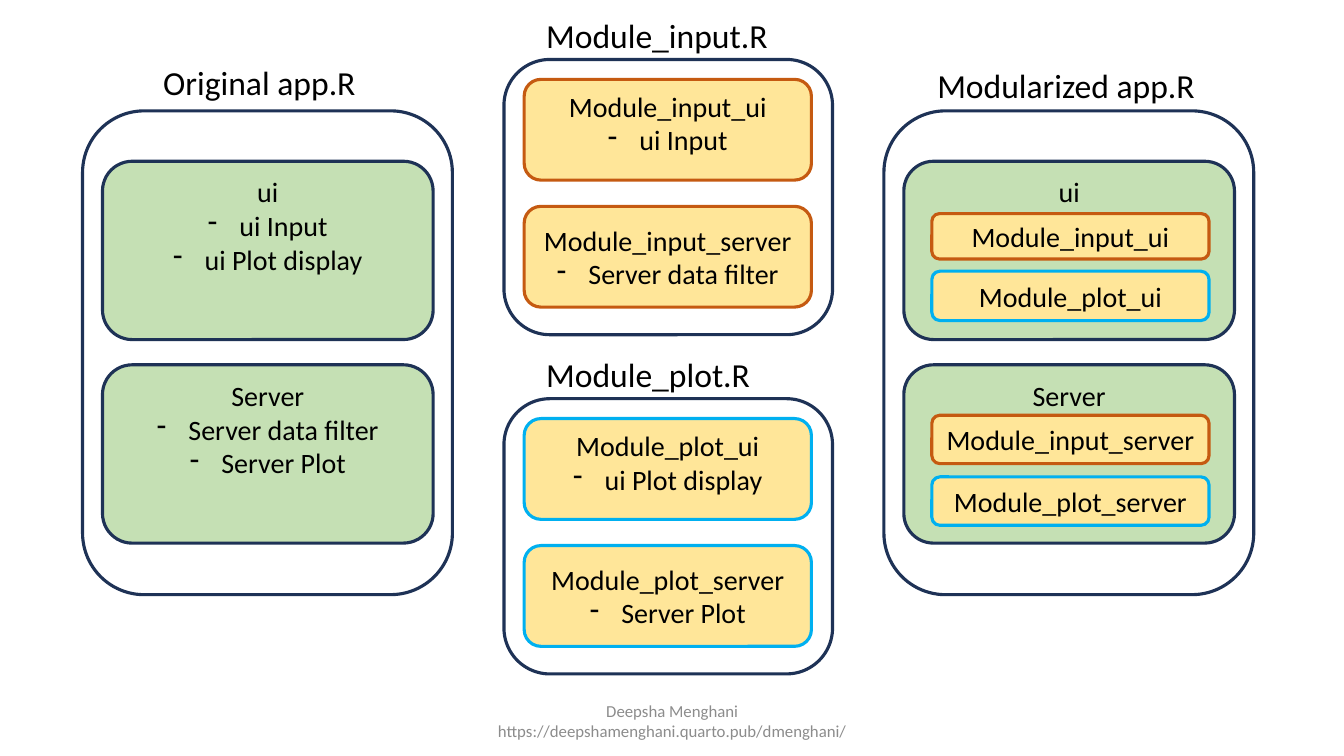
"""Build a slide that shows how an R app is split into modules."""
from dataclasses import dataclass
from typing import Any, Optional

import pptx
import pptx.dml.color
import pptx.enum.shapes
import pptx.enum.text
import pptx.oxml
import pptx.oxml.ns
import pptx.util

Pt = pptx.util.Pt
Align = pptx.enum.text.PP_ALIGN
Anchor = pptx.enum.text.MSO_ANCHOR


@dataclass(frozen=True)
class Theme:
    font: str = "Calibri"
    ink: str = "000000"
    gray: str = "8C8C8C"
    navy: str = "1E3256"
    green: str = "C5E0B4"
    sand: str = "FFE699"
    rust: str = "C55A11"
    sky: str = "00B0F0"
    head: float = 24
    body: float = 20
    foot: float = 12
    edge: float = 2.25
    indent: float = 22.5


THEME = Theme()


@dataclass(frozen=True)
class Box:
    left: float
    top: float
    width: float
    height: float
    line: str
    fill: Optional[str] = None
    text: str = ""
    items: tuple[str, ...] = ()
    anchor: Any = Anchor.TOP


@dataclass(frozen=True)
class Label:
    left: float
    top: float
    width: float
    text: str
    height: float = 36
    size: float = THEME.head
    color: str = THEME.ink
    align: Any = Align.LEFT
    anchor: Any = Anchor.TOP


def get_color(code: str) -> pptx.dml.color.RGBColor:
    return pptx.dml.color.RGBColor.from_string(code)


def style_text(frame: Any, size: float, color: str, align: Any, anchor: Any) -> None:
    frame.word_wrap = True
    frame.auto_size = pptx.enum.text.MSO_AUTO_SIZE.NONE
    frame.vertical_anchor = anchor
    for para in frame.paragraphs:
        para.alignment = align
        for run in para.runs:
            run.font.name = THEME.font
            run.font.size = Pt(size)
            run.font.color.rgb = get_color(color)


def add_dash(para: Any) -> None:
    props = para._p.get_or_add_pPr()
    props.set("marL", str(Pt(THEME.indent)))
    props.set("indent", str(-Pt(THEME.indent)))
    space = pptx.oxml.ns.nsdecls("a")
    props.append(pptx.oxml.parse_xml(f"<a:buFontTx {space}/>"))
    props.append(pptx.oxml.parse_xml(f'<a:buChar {space} char="-"/>'))


def draw_box(slide: Any, box: Box) -> None:
    shape = slide.shapes.add_shape(
        pptx.enum.shapes.MSO_SHAPE.ROUNDED_RECTANGLE,
        Pt(box.left), Pt(box.top), Pt(box.width), Pt(box.height))
    shape.shadow.inherit = False
    shape.line.color.rgb = get_color(box.line)
    shape.line.width = Pt(THEME.edge)
    if box.fill:
        shape.fill.solid()
        shape.fill.fore_color.rgb = get_color(box.fill)
    else:
        shape.fill.background()
    frame = shape.text_frame
    frame.text = box.text
    for item in box.items:
        para = frame.add_paragraph()
        para.text = item
        add_dash(para)
    style_text(frame, THEME.body, THEME.ink, Align.CENTER, box.anchor)


def fill_label(shape: Any, label: Label) -> None:
    shape.left, shape.top = Pt(label.left), Pt(label.top)
    shape.width, shape.height = Pt(label.width), Pt(label.height)
    shape.text_frame.text = label.text
    style_text(shape.text_frame, label.size, label.color, label.align, label.anchor)


def draw_label(slide: Any, label: Label) -> None:
    fill_label(slide.shapes.add_textbox(0, 0, 0, 0), label)


def draw_app(slide: Any, left: float, lists: tuple[tuple[str, ...], ...]) -> None:
    draw_box(slide, Box(left, 79.2, 264.2, 345.6, THEME.navy))
    for row, (name, items) in enumerate(zip(("ui", "Server"), lists)):
        draw_box(slide, Box(left + 14.2, 115.2 + 145.4 * row, 236.2, 127.4,
                            THEME.navy, THEME.green, name, items))


def draw_module(slide: Any, top: float, name: str, line: str,
                lists: tuple[str, str]) -> None:
    draw_box(slide, Box(360, top, 234.7, 196.6, THEME.navy))
    parts = zip(("ui", "server"), lists, (Anchor.TOP, Anchor.MIDDLE))
    for row, (part, item, anchor) in enumerate(parts):
        draw_box(slide, Box(374.4, top + 14.2 + 90.7 * row, 205.2, 72, line,
                            THEME.sand, f"{name}_{part}", (item,), anchor))
    draw_label(slide, Label(383, top - 35.3, 205.2, f"{name}.R"))


def draw_call(slide: Any, top: float, height: float, text: str, line: str) -> None:
    draw_box(slide, Box(665.6, top, 198, height, line, THEME.sand, text,
                        anchor=Anchor.MIDDLE))


def main() -> None:
    deck = pptx.Presentation()
    deck.slide_width, deck.slide_height = Pt(960), Pt(540)
    slide = deck.slides.add_slide(deck.slide_layouts[5])
    fill_label(slide.shapes.title, Label(109.4, 40.3, 168.5, "Original app.R"))

    draw_app(slide, 59, (("ui Input", "ui Plot display"),
                         ("Server data filter", "Server Plot")))
    draw_module(slide, 42.5, "Module_input", THEME.rust,
                ("ui Input", "Server data filter"))
    draw_module(slide, 284.8, "Module_plot", THEME.sky,
                ("ui Plot display", "Server Plot"))
    draw_app(slide, 631.4, ((), ()))
    draw_label(slide, Label(662.4, 42.5, 205.2, "Modularized app.R"))

    draw_call(slide, 152.6, 32.4, "Module_input_ui", THEME.rust)
    draw_call(slide, 193.7, 35.3, "Module_plot_ui", THEME.sky)
    draw_call(slide, 296.6, 34.6, "Module_input_server", THEME.rust)
    draw_call(slide, 340.6, 34.6, "Module_plot_server", THEME.sky)

    draw_label(slide, Label(
        318.2, 500.4, 324,
        "Deepsha Menghani https://deepshamenghani.quarto.pub/dmenghani/",
        28.8, THEME.foot, THEME.gray, Align.CENTER, Anchor.MIDDLE))
    deck.save("out.pptx")


if __name__ == "__main__":
    main()
